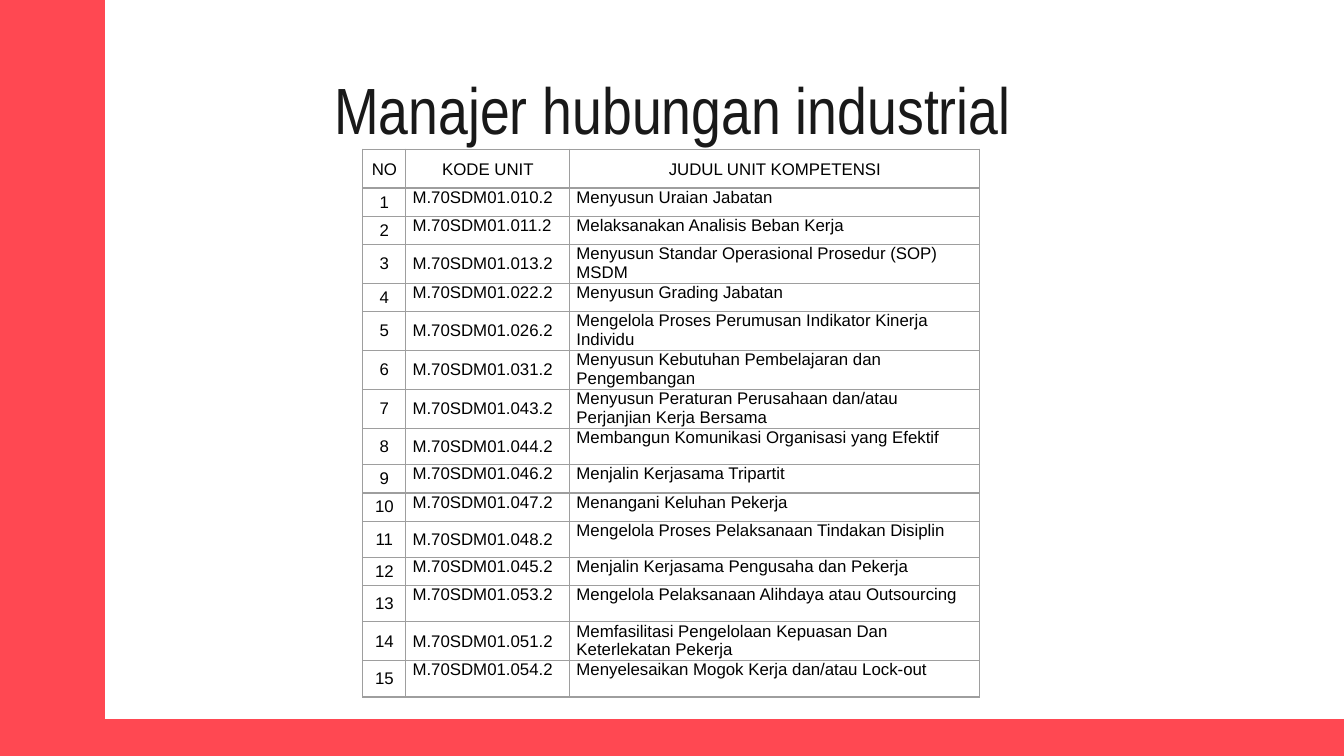
from dataclasses import dataclass

from lxml import etree
from pptx import Presentation
from pptx.dml.color import RGBColor
from pptx.enum.shapes import MSO_SHAPE
from pptx.enum.text import MSO_ANCHOR, PP_ALIGN
from pptx.oxml.ns import qn
from pptx.util import Inches, Pt

TOP, MIDDLE = MSO_ANCHOR.TOP, MSO_ANCHOR.MIDDLE
LEFT, CENTER = PP_ALIGN.LEFT, PP_ALIGN.CENTER
RECTANGLE = MSO_SHAPE.RECTANGLE

COLORS = {"accent": "FF4852", "title": "191919", "text": "000000", "border": "9E9E9E"}

# Widescreen slide, 16:9
SLIDE_WIDTH = 10
SLIDE_HEIGHT = SLIDE_WIDTH * 9 / 16
TITLE_ONLY = 5

# Row heights in inches
HEADER, SHORT, MEDIUM, TALL = 0.29, 0.21, 0.27, 0.29

COLUMN_WIDTHS = (0.32, 1.22, 3.05)
HEADINGS = ("NO", "KODE UNIT", "JUDUL UNIT KOMPETENSI")


@dataclass(frozen=True)
class Band:
    left: float
    top: float
    width: float
    height: float


@dataclass(frozen=True)
class Unit:
    number: str
    competency: str
    height: float = SHORT
    code_anchor: MSO_ANCHOR = TOP

    @property
    def code(self) -> str:
        return f"M.70SDM01.{self.number}.2"


BANDS = (
    Band(0, 0, 0.78, SLIDE_HEIGHT),
    Band(0, 5.35, SLIDE_WIDTH, SLIDE_HEIGHT - 5.35),
)

UNITS = (
    Unit("010", "Menyusun Uraian Jabatan"),
    Unit("011", "Melaksanakan Analisis Beban Kerja"),
    Unit("013", "Menyusun Standar Operasional Prosedur (SOP) MSDM", TALL, MIDDLE),
    Unit("022", "Menyusun Grading Jabatan"),
    Unit("026", "Mengelola Proses Perumusan Indikator Kinerja Individu", TALL, MIDDLE),
    Unit("031", "Menyusun Kebutuhan Pembelajaran dan Pengembangan", TALL, MIDDLE),
    Unit("043", "Menyusun Peraturan Perusahaan dan/atau Perjanjian Kerja Bersama", TALL, MIDDLE),
    Unit("044", "Membangun Komunikasi Organisasi yang Efektif", MEDIUM, MIDDLE),
    Unit("046", "Menjalin Kerjasama Tripartit"),
    Unit("047", "Menangani Keluhan Pekerja"),
    Unit("048", "Mengelola Proses Pelaksanaan Tindakan Disiplin", MEDIUM, MIDDLE),
    Unit("045", "Menjalin Kerjasama Pengusaha dan Pekerja"),
    Unit("053", "Mengelola Pelaksanaan Alihdaya atau Outsourcing", MEDIUM),
    Unit("051", "Memfasilitasi Pengelolaan Kepuasan Dan Keterlekatan Pekerja", TALL, MIDDLE),
    Unit("054", "Menyelesaikan Mogok Kerja dan/atau Lock-out", MEDIUM),
)


def write_text(frame, text: str, *, size: float = 9, font: str = "Arial",
               color: str = "text", align: PP_ALIGN = LEFT, spacing: float = 1.0) -> None:
    frame.text = text
    frame.word_wrap = True
    paragraph = frame.paragraphs[0]
    paragraph.alignment = align
    paragraph.line_spacing = spacing
    run_font = paragraph.runs[0].font
    run_font.size = Pt(size)
    run_font.name = font
    run_font.color.rgb = RGBColor.from_string(COLORS[color])


def draw_band(slide, band: Band) -> None:
    shape = slide.shapes.add_shape(RECTANGLE, Inches(band.left), Inches(band.top),
                                   Inches(band.width), Inches(band.height))
    shape.shadow.inherit = False
    shape.fill.solid()
    shape.fill.fore_color.rgb = RGBColor.from_string(COLORS["accent"])
    shape.line.fill.background()


def draw_title(slide, text: str) -> None:
    title = slide.shapes.title
    title.left, title.top = Inches(0.79), Inches(0.49)
    title.width, title.height = Inches(8.43), Inches(0.63)
    frame = title.text_frame
    write_text(frame, text, size=35, font="Arial Narrow", color="title", align=CENTER)
    frame.vertical_anchor = MIDDLE
    frame.margin_left = frame.margin_right = Inches(0.1)
    frame.margin_top = frame.margin_bottom = Inches(0.1)


def add_borders(cell) -> None:
    properties = cell._tc.get_or_add_tcPr()
    for position, side in enumerate(("a:lnL", "a:lnR", "a:lnT", "a:lnB")):
        line = etree.Element(qn(side), w=str(Pt(0.75)))
        fill = etree.SubElement(line, qn("a:solidFill"))
        etree.SubElement(fill, qn("a:srgbClr"), val=COLORS["border"])
        properties.insert(position, line)


def fill_cell(cell, text: str, anchor: MSO_ANCHOR, align: PP_ALIGN,
              spacing: float = 1.0) -> None:
    write_text(cell.text_frame, text, align=align, spacing=spacing)
    cell.vertical_anchor = anchor
    cell.margin_left = cell.margin_right = Inches(0.05)
    cell.margin_top = cell.margin_bottom = 0
    cell.fill.background()
    add_borders(cell)


def draw_unit_table(slide) -> None:
    heights = [HEADER] + [unit.height for unit in UNITS]
    table = slide.shapes.add_table(
        len(heights), len(COLUMN_WIDTHS), Inches(2.7), Inches(1.11),
        Inches(sum(COLUMN_WIDTHS)), Inches(sum(heights))).table
    table.first_row = table.horz_banding = False
    for column, width in zip(table.columns, COLUMN_WIDTHS):
        column.width = Inches(width)
    for row, height in zip(table.rows, heights):
        row.height = Inches(height)

    for index, heading in enumerate(HEADINGS):
        fill_cell(table.cell(0, index), heading, MIDDLE, CENTER, spacing=1.15)
    for index, unit in enumerate(UNITS, start=1):
        fill_cell(table.cell(index, 0), str(index), MIDDLE, CENTER)
        fill_cell(table.cell(index, 1), unit.code, unit.code_anchor, LEFT)
        fill_cell(table.cell(index, 2), unit.competency, TOP, LEFT)


def main() -> None:
    presentation = Presentation()
    presentation.slide_width = Inches(SLIDE_WIDTH)
    presentation.slide_height = Inches(SLIDE_HEIGHT)
    slide = presentation.slides.add_slide(presentation.slide_layouts[TITLE_ONLY])

    # Coloured frame on the left and bottom edges
    for band in BANDS:
        draw_band(slide, band)

    # Heading and list of competency units
    draw_title(slide, "Manajer hubungan industrial")
    draw_unit_table(slide)
    presentation.save("out.pptx")


if __name__ == "__main__":
    main()
